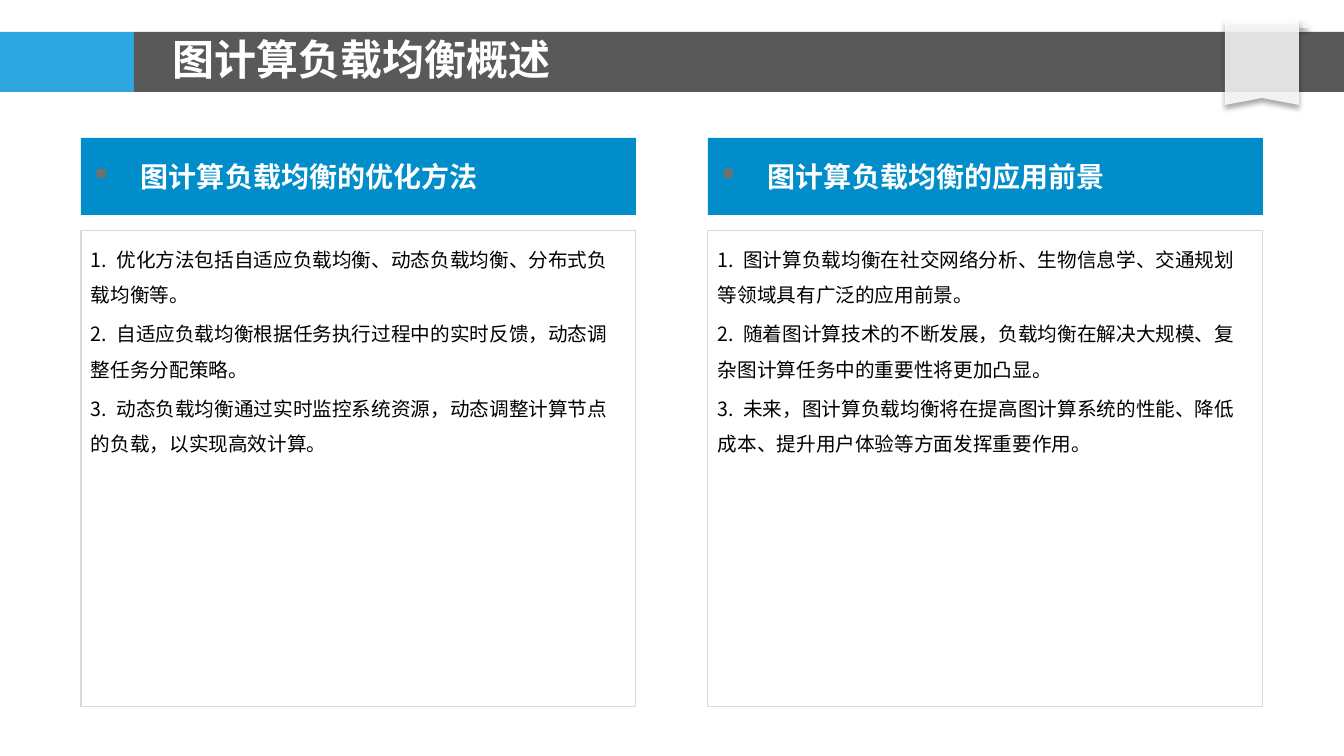
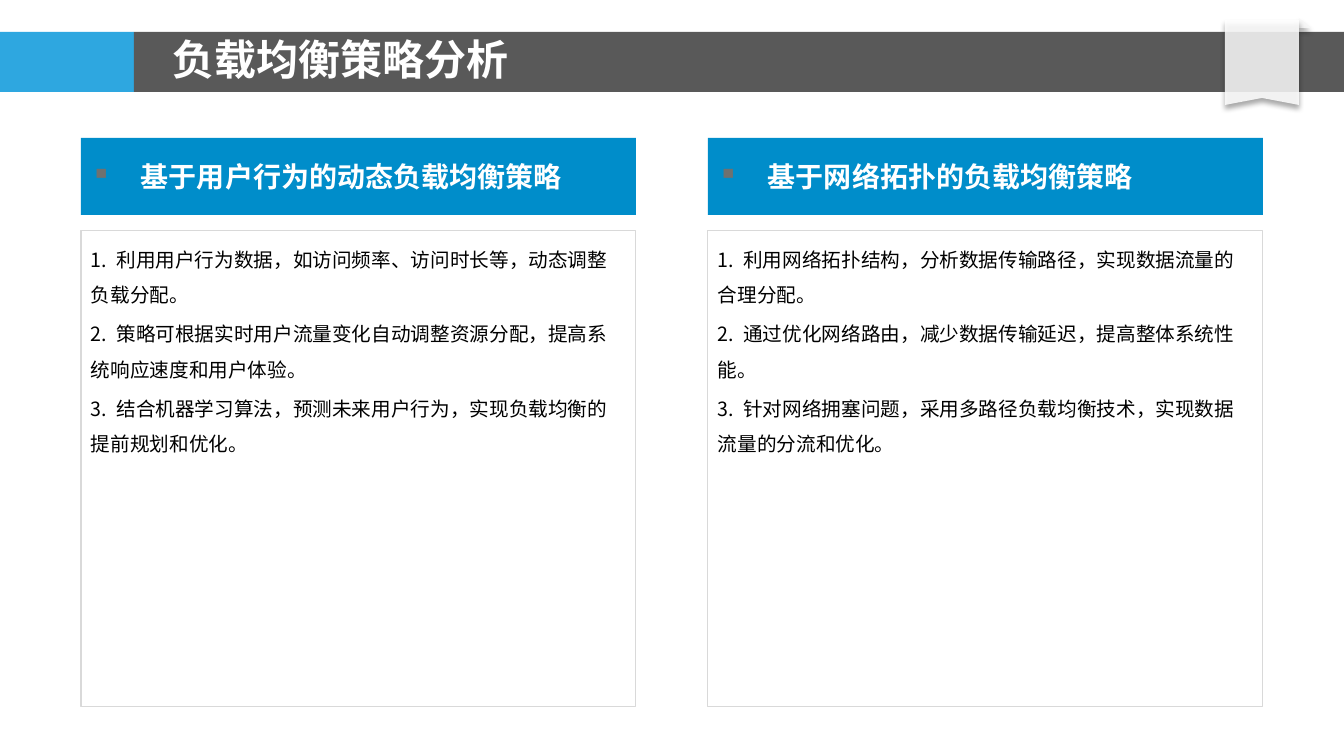
from lxml import etree
from pptx import Presentation
from pptx import util as u
from pptx.dml import color
from pptx.enum import shapes, text
from pptx.oxml import ns

SCALE = 914400 / 100.8
FONT = "Noto Sans CJK SC"
COLORS = {"accent": "2EA7E0", "band": "595959", "header": "008DCA", "border": "D9D9D9",
          "bullet": "6F7170", "white": "FFFFFF", "fold": "F8F8F8", "black": "000000"}
TITLE = {"size": u.Pt(30), "bold": True, "color": "white"}
HEADER = {"size": u.Pt(20), "bold": True, "color": "white"}
BODY = {"size": u.Pt(14), "bold": False, "color": "black"}
PANEL_LEFTS = (81, 708)

PAGES = [
    ("图计算负载均衡概述", [
        ("图计算负载均衡的优化方法", [
            "1. 优化方法包括自适应负载均衡、动态负载均衡、分布式负载均衡等。",
            "2. 自适应负载均衡根据任务执行过程中的实时反馈，动态调整任务分配策略。",
            "3. 动态负载均衡通过实时监控系统资源，动态调整计算节点的负载，以实现高效计算。"]),
        ("图计算负载均衡的应用前景", [
            "1. 图计算负载均衡在社交网络分析、生物信息学、交通规划等领域具有广泛的应用前景。",
            "2. 随着图计算技术的不断发展，负载均衡在解决大规模、复杂图计算任务中的重要性将更加凸显。",
            "3. 未来，图计算负载均衡将在提高图计算系统的性能、降低成本、提升用户体验等方面发挥重要作用。"])]),
    ("负载均衡策略分析", [
        ("基于用户行为的动态负载均衡策略", [
            "1. 利用用户行为数据，如访问频率、访问时长等，动态调整负载分配。",
            "2. 策略可根据实时用户流量变化自动调整资源分配，提高系统响应速度和用户体验。",
            "3. 结合机器学习算法，预测未来用户行为，实现负载均衡的提前规划和优化。"]),
        ("基于网络拓扑的负载均衡策略", [
            "1. 利用网络拓扑结构，分析数据传输路径，实现数据流量的合理分配。",
            "2. 通过优化网络路由，减少数据传输延迟，提高整体系统性能。",
            "3. 针对网络拥塞问题，采用多路径负载均衡技术，实现数据流量的分流和优化。"])]),
]


def px(length):
    """Turn px into EMU."""
    return u.Emu(round(length * SCALE))


def rgb(name):
    """Look up a named colour."""
    return color.RGBColor.from_string(COLORS[name])


def add_node(parent, tag, **attributes):
    """Append a DrawingML element with the given attributes."""
    return etree.SubElement(parent, ns.qn(tag), attributes)


def paint(shape, fill=None, line=None):
    """Set fill and line, and drop the inherited shadow."""
    shape.shadow.inherit = False
    if fill:
        shape.fill.solid()
        shape.fill.fore_color.rgb = rgb(fill)
    else:
        shape.fill.background()
    if line:
        shape.line.color.rgb = rgb(line)
        shape.line.width = u.Pt(0.75)
    else:
        shape.line.fill.background()
    return shape


def add_block(page, box, fill=None, line=None, kind=shapes.MSO_SHAPE.RECTANGLE):
    """Add a preset shape in a px box."""
    return paint(page.shapes.add_shape(kind, *map(px, box)), fill, line)


def make_paper(shape):
    """Make a shape slightly see-through with a soft shadow below it."""
    properties = shape._element.spPr
    fill = properties.find(ns.qn("a:solidFill"))
    add_node(fill[0], "a:alpha", val="85000")
    effects = properties.find(ns.qn("a:effectLst"))
    shadow = add_node(effects, "a:outerShdw", blurRad=str(u.Pt(4)), dist=str(u.Pt(3)),
                      dir="5400000", algn="t", rotWithShape="0")
    tint = add_node(shadow, "a:srgbClr", val=COLORS["black"])
    add_node(tint, "a:alpha", val="40000")


def write(shape, lines, style, frame_format, para_format):
    """Write one left-aligned paragraph per line in the given style."""
    frame = shape.text_frame
    for name, value in {"word_wrap": True, **frame_format}.items():
        setattr(frame, name, value)
    for index, line in enumerate(lines):
        para = frame.add_paragraph() if index else frame.paragraphs[0]
        for name, value in {"alignment": text.PP_ALIGN.LEFT, **para_format}.items():
            setattr(para, name, value)
        span = para.add_run()
        span.text = line
        for name in ("size", "bold"):
            setattr(span.font, name, style[name])
        span.font.name = FONT
        span.font.color.rgb = rgb(style["color"])
        add_node(span._r.get_or_add_rPr(), "a:ea", typeface=FONT)


def add_bullet(para, indent):
    """Give a paragraph a hanging square bullet."""
    properties = para._p.get_or_add_pPr()
    properties.set("marL", str(indent))
    properties.set("indent", str(-indent))
    add_node(add_node(properties, "a:buClr"), "a:srgbClr", val=COLORS["bullet"])
    add_node(properties, "a:buChar", char="▪")


def add_ribbon(page, box):
    """Draw the notched paper ribbon and its fold."""
    left, top, width, height = box
    fold = add_block(page, (left + width, top - 2, 12, 10), "fold",
                     kind=shapes.MSO_SHAPE.RIGHT_TRIANGLE)
    outline = page.shapes.build_freeform(left, top, scale=SCALE)
    outline.add_line_segments([(left + width, top), (left + width, top + height),
                               (left + width / 2, top + height - 7), (left, top + height)])
    ribbon = paint(outline.convert_to_shape(), "white")
    for part in (fold, ribbon):
        make_paper(part)


def add_title_band(page, title, box):
    """Draw the title band with its accent, ribbon and title."""
    left, top, width, height = box
    accent = 134
    add_block(page, (left, top, accent, height), "accent")
    add_block(page, (left + accent, top, width - accent, height), "band")
    add_ribbon(page, (left + width - 119, top - 12, 74, 85))
    title_box = page.shapes.add_textbox(*map(px, (left + 163, top - 2, width - 163, 57)))
    write(title_box, [title], TITLE,
          {"vertical_anchor": text.MSO_ANCHOR.MIDDLE, "margin_left": px(10),
           "margin_right": 0, "margin_top": 0, "margin_bottom": 0}, {})


def add_panel(page, heading, points, box):
    """Draw a headed panel of numbered points."""
    left, top, width, height = box
    head, gap = 77, 16
    header = add_block(page, (left, top, width, head), "header")
    write(header, [heading], HEADER, {"vertical_anchor": text.MSO_ANCHOR.MIDDLE},
          {"space_before": u.Pt(4)})
    add_bullet(header.text_frame.paragraphs[0], px(50))
    body = add_block(page, (left, top + head + gap, width, height - head - gap), line="border")
    write(body, points, BODY, {"vertical_anchor": text.MSO_ANCHOR.TOP},
          {"space_before": u.Pt(2.8), "line_spacing": 1.5})


def add_comparison(deck, title, panels):
    """Add a slide with a title band and two panels."""
    page = deck.slides.add_slide(deck.slide_layouts[6])
    add_title_band(page, title, (0, 32, 1344, 60))
    for left, (heading, points) in zip(PANEL_LEFTS, panels):
        add_panel(page, heading, points, (left, 138, 555, 569))


def main():
    """Build and save the deck."""
    deck = Presentation()
    deck.slide_width, deck.slide_height = px(1344), px(756)
    for title, panels in PAGES:
        add_comparison(deck, title, panels)
    deck.save("out.pptx")


if __name__ == "__main__":
    main()
